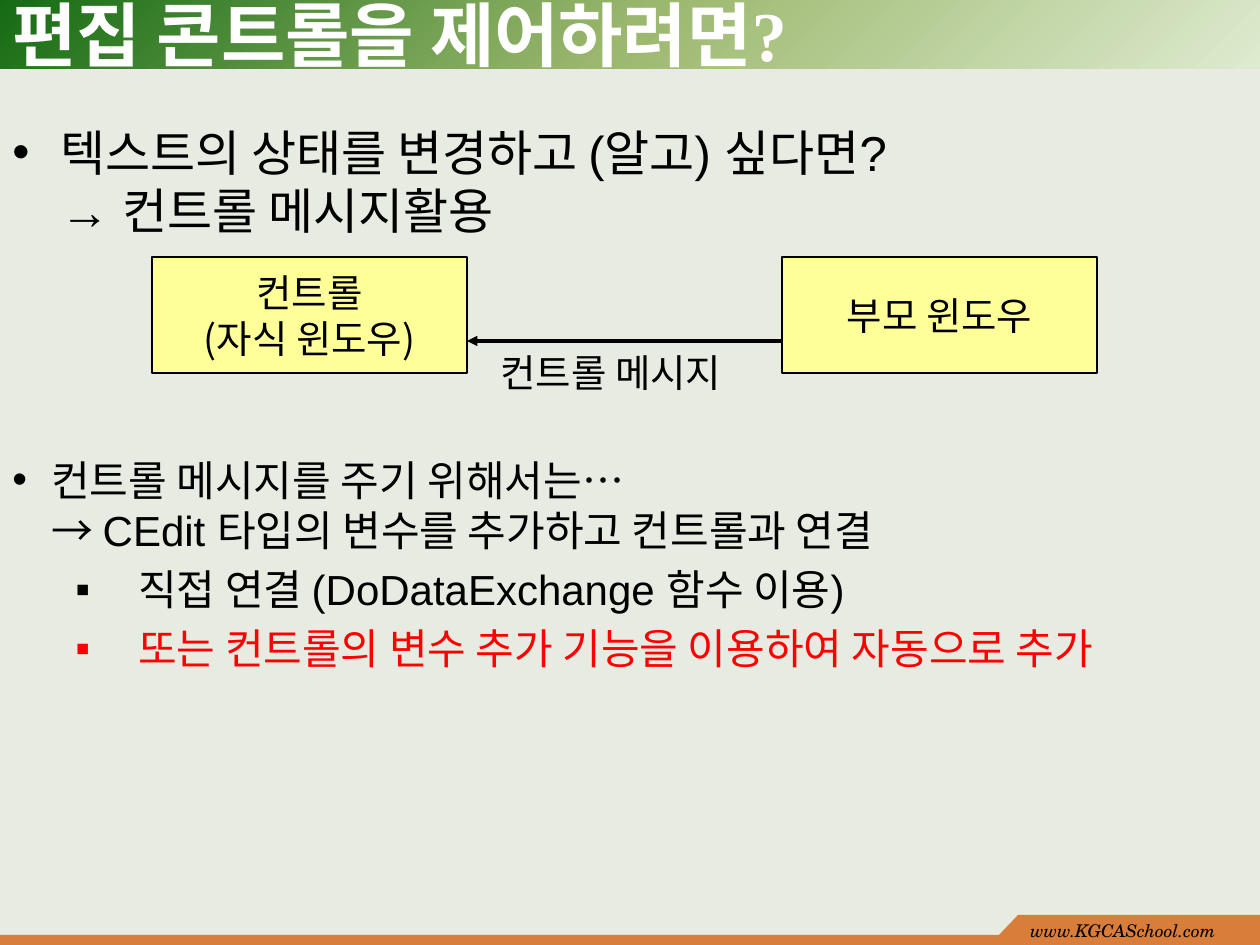
from lxml.etree import SubElement
from pptx import Presentation
from pptx.dml.color import RGBColor
from pptx.enum.shapes import MSO_CONNECTOR, MSO_SHAPE
from pptx.enum.text import MSO_ANCHOR, PP_ALIGN
from pptx.oxml.ns import qn
from pptx.util import Pt

SCALE = 914400 / 126  # EMU in one px
HUES = {
    "back": "E7EBE2", "ink": "000000", "white": "FFFFFF", "red": "FF0000",
    "box": "FFFF99", "foot": "D87D3A",
    "pale": "DDEBCF", "leaf": "9CB86E", "dark": "156B13",
}
KOREAN = "Noto Sans CJK KR"


def emu(px):
    return round(px * SCALE)


def rgb(hue):
    return RGBColor.from_string(HUES[hue])


class Deck:
    def __init__(self, wide, high):
        self.show = Presentation()
        self.show.slide_width, self.show.slide_height = emu(wide), emu(high)
        self.slide = self.show.slides.add_slide(self.show.slide_layouts[6])
        fill = self.slide.background.fill
        fill.solid()
        fill.fore_color.rgb = rgb("back")

    def paint(self, shape, hue, edge=None):
        shape.shadow.inherit = False
        shape.fill.solid()
        shape.fill.fore_color.rgb = rgb(hue)
        if edge:
            shape.line.color.rgb = rgb(edge)
            shape.line.width = Pt(0.75)
        else:
            shape.line.fill.background()
        return shape

    def rect(self, x, y, w, h, hue, edge=None):
        shape = self.slide.shapes.add_shape(
            MSO_SHAPE.RECTANGLE, emu(x), emu(y), emu(w), emu(h))
        return self.paint(shape, hue, edge)

    def glow(self, x, y, w, h, stops):
        """Bar whose colours spread from its lower right corner."""
        props = self.rect(x, y, w, h, "dark")._element.spPr
        solid = props.find(qn("a:solidFill"))
        grad = props.makeelement(qn("a:gradFill"), {"rotWithShape": "1"})
        props.replace(solid, grad)
        marks = SubElement(grad, qn("a:gsLst"))
        for pos, hue in stops:
            mark = SubElement(marks, qn("a:gs"), pos=str(pos * 1000))
            SubElement(mark, qn("a:srgbClr"), val=HUES[hue])
        ring = SubElement(grad, qn("a:path"), {"path": "circle"})
        SubElement(ring, qn("a:fillToRect"), l="100000", t="100000")

    def shape(self, points, hue):
        build = self.slide.shapes.build_freeform(*points[0], scale=SCALE)
        build.add_line_segments(points[1:], close=True)
        self.paint(build.convert_to_shape(), hue)

    def arrow(self, x1, y1, x2, y2, width):
        line = self.slide.shapes.add_connector(
            MSO_CONNECTOR.STRAIGHT, emu(x1), emu(y1), emu(x2), emu(y2))
        line.line.color.rgb = rgb("ink")
        line.line.width = Pt(width)
        props = line._element.spPr
        SubElement(props.find(qn("a:ln")), qn("a:tailEnd"), type="triangle")
        SubElement(props, qn("a:effectLst"))

    def text(self, x, y, w, h, rows, **style):
        box = self.slide.shapes.add_textbox(emu(x), emu(y), emu(w), emu(h))
        self.label(box, rows, **style)

    def label(self, shape, rows, mid=False, center=False, **style):
        """Each row is a plain line, or a dict with lines, mark and indent."""
        frame = shape.text_frame
        frame.word_wrap = True
        frame.vertical_anchor = MSO_ANCHOR.MIDDLE if mid else MSO_ANCHOR.TOP
        for i, row in enumerate(rows):
            para = frame.paragraphs[0] if i == 0 else frame.add_paragraph()
            para.alignment = PP_ALIGN.CENTER if center else PP_ALIGN.LEFT
            look = dict(style)
            lines = [row]
            if isinstance(row, dict):
                self.bullet(para, row["mark"], row["left"], row["hang"])
                look["hue"] = row.get("hue", "ink")
                lines = row["lines"]
                if i:
                    para.space_before = Pt(5)
            for j, line in enumerate(lines):
                if j:
                    para.add_line_break()
                self.run(para, line, **look)

    def bullet(self, para, mark, left, hang):
        props = para._p.get_or_add_pPr()
        props.set("marL", str(emu(left)))
        props.set("indent", str(-emu(hang)))
        SubElement(props, qn("a:buFont"), typeface="Arial")
        SubElement(props, qn("a:buChar"), char=mark)

    def run(self, para, words, size, face=KOREAN, hue="ink",
            bold=False, slant=False):
        run = para.add_run()
        run.text = words
        font = run.font
        font.size, font.name = Pt(size), face
        font.bold, font.italic = bold, slant
        font.color.rgb = rgb(hue)
        SubElement(run._r.get_or_add_rPr(), qn("a:ea"), typeface=KOREAN)


def main():
    deck = Deck(1260, 945)

    # Title bar
    deck.glow(0, 0, 1260, 69, [(0, "pale"), (50, "leaf"), (100, "dark")])
    deck.text(0, 2, 1182, 63, ["편집 콘트롤을 제어하려면?"], mid=True,
              size=40, face="Times New Roman", hue="white", bold=True)

    # Footer
    deck.rect(0, 935, 1260, 10, "foot")
    deck.rect(1018, 915, 242, 21, "foot")
    deck.shape([(998, 936), (1018, 936), (1018, 915)], "foot")
    deck.text(1018, 914, 242, 31, ["www.KGCASchool.com"],
              size=10, face="TeX Gyre Schola", slant=True)

    # Question
    deck.text(0, 116, 1250, 130, [
        {"mark": "•", "left": 48, "hang": 48,
         "lines": ["텍스트의 상태를 변경하고 (알고) 싶다면? ",
                   "→ 컨트롤 메시지활용"]},
    ], size=28, face="Arial")

    # Message diagram
    for x, rows in ((152, ["컨트롤", "(자식 윈도우)"]), (782, ["부모 윈도우"])):
        box = deck.rect(x, 257, 315, 116, "box", "ink")
        deck.label(box, rows, mid=True, center=True, size=22)
    deck.arrow(782, 341, 467, 341, 1.75)
    deck.text(488, 346, 294, 53, ["컨트롤 메시지"], mid=True, size=22)

    # Answer
    sub = {"mark": "▪", "left": 126, "hang": 63}
    deck.text(0, 448, 1250, 240, [
        {"mark": "•", "left": 39, "hang": 39,
         "lines": ["컨트롤 메시지를 주기 위해서는…",
                   "→ CEdit 타입의 변수를 추가하고 컨트롤과 연결"]},
        {**sub, "lines": ["직접 연결 (DoDataExchange 함수 이용)"]},
        {**sub, "hue": "red",
         "lines": ["또는 컨트롤의 변수 추가 기능을 이용하여 자동으로 추가"]},
    ], size=24, face="Arial")

    deck.show.save("out.pptx")


if __name__ == "__main__":
    main()
